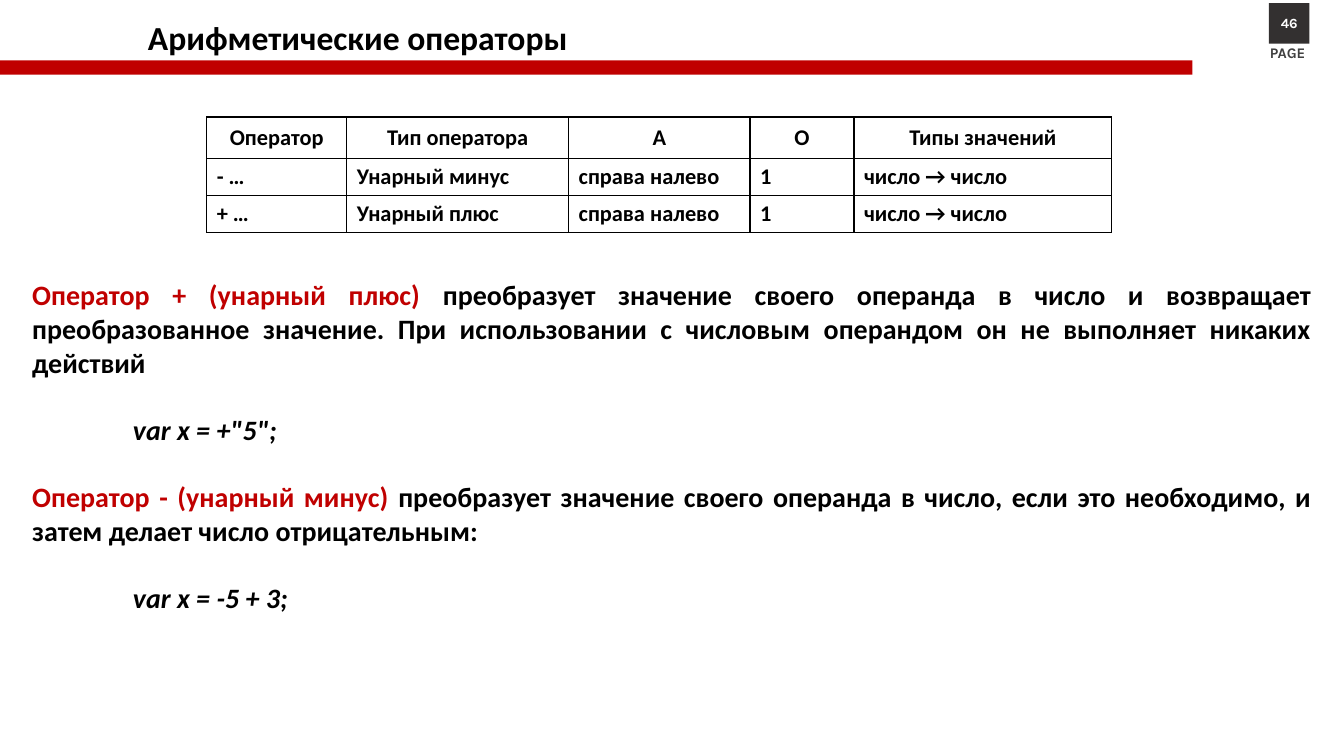
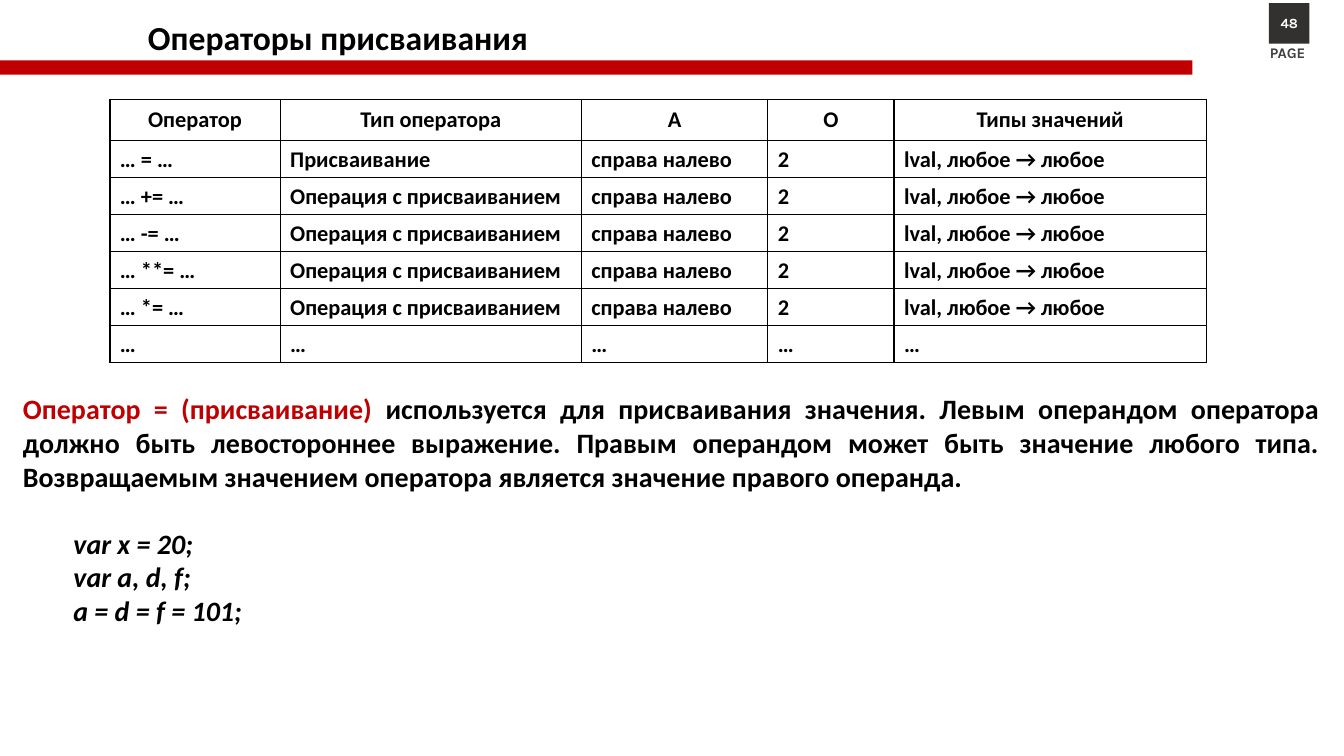
from dataclasses import dataclass

from lxml import etree
from pptx import Presentation
from pptx import util as u
from pptx.dml.color import RGBColor
from pptx.enum import shapes, text
from pptx.oxml import ns


@dataclass(frozen=True)
class Theme:
    black: str = "000000"
    white: str = "FFFFFF"
    red: str = "C00000"
    badge: str = "333030"
    gray: str = "404040"
    font: str = "Calibri"
    page_font: str = "Karla"
    title_size: float = 24
    body_size: float = 20
    table_size: float = 16
    label_size: float = 10.5
    number_size: float = 10
    paragraph_gap: float = 24
    border: float = 1
    header_height: float = 1.04
    row_height: float = 0.93


def assign(target, values):
    for name, value in values.items():
        setattr(target, name, value)


def box(*lengths):
    return [u.Cm(length) for length in lengths]


class Deck:
    def __init__(self, theme):
        self.theme = theme
        self.presentation = Presentation()
        assign(self.presentation, {"slide_width": u.Cm(33.87), "slide_height": u.Cm(19.05)})
        self.slide = None

    def add_text(self, paragraph, content, size, color=None, name=None, italic=False):
        run = paragraph.add_run()
        run.text = content
        assign(run.font, {"size": u.Pt(size), "name": name or self.theme.font,
                          "bold": True, "italic": italic})
        run.font.color.rgb = RGBColor.from_string(color or self.theme.black)

    def text_frame(self, place, **values):
        frame = self.slide.shapes.add_textbox(*box(*place)).text_frame
        assign(frame, {"word_wrap": True, **values})
        return frame

    def rectangle(self, place, color):
        shape = self.slide.shapes.add_shape(shapes.MSO_SHAPE.RECTANGLE, *box(*place))
        shape.shadow.inherit = False
        shape.fill.solid()
        shape.fill.fore_color.rgb = RGBColor.from_string(color)
        shape.line.fill.background()
        return shape

    def start_slide(self, title, number):
        theme = self.theme
        self.slide = self.presentation.slides.add_slide(self.presentation.slide_layouts[6])
        frame = self.text_frame((3.48, 0.08, 30.38, 1.83),
                                vertical_anchor=text.MSO_ANCHOR.MIDDLE)
        frame.paragraphs[0].line_spacing = 0.9
        self.add_text(frame.paragraphs[0], title, theme.title_size)

        label = self.text_frame((31.75, 0.99, 1.5, 0.71), word_wrap=False)
        self.add_text(label.paragraphs[0], "PAGE", theme.label_size, theme.gray,
                      theme.page_font)

        badge = self.rectangle((31.98, 0.08, 1.02, 1.02), theme.badge).text_frame
        assign(badge, {"margin_left": 0, "margin_right": 0,
                       "vertical_anchor": text.MSO_ANCHOR.MIDDLE})
        badge.paragraphs[0].alignment = text.PP_ALIGN.CENTER
        self.add_text(badge.paragraphs[0], str(number), theme.number_size, theme.white,
                      theme.page_font)
        self.rectangle((0, 1.52, 30.05, 0.36), theme.red)

    def explanation(self, place, code_indent, sections):
        theme = self.theme
        frame = self.text_frame(place)
        paragraph = frame.paragraphs[0]
        for index, (term, description, code) in enumerate(sections):
            if index:
                paragraph = frame.add_paragraph()
                paragraph.space_before = u.Pt(theme.paragraph_gap)
            paragraph.alignment = text.PP_ALIGN.JUSTIFY
            self.add_text(paragraph, term + " ", theme.body_size, theme.red)
            self.add_text(paragraph, description, theme.body_size)
            for line_index, line in enumerate(code):
                paragraph = frame.add_paragraph()
                assign(paragraph, {"alignment": text.PP_ALIGN.JUSTIFY,
                                   "space_before": u.Pt(0 if line_index else theme.paragraph_gap)})
                paragraph._p.get_or_add_pPr().set("marL", str(u.Cm(code_indent)))
                self.add_text(paragraph, line, theme.body_size, italic=True)

    def outline(self, cell):
        properties = cell._tc.get_or_add_tcPr()
        for side in ("a:lnL", "a:lnR", "a:lnT", "a:lnB"):
            line = etree.SubElement(properties, ns.qn(side), w=str(u.Pt(self.theme.border)))
            fill = etree.SubElement(line, ns.qn("a:solidFill"))
            etree.SubElement(fill, ns.qn("a:srgbClr"), val=self.theme.black)

    def operator_table(self, left, top, widths, rows):
        theme = self.theme
        rows = [("Оператор", "Тип оператора", "А", "О", "Типы значений"), *rows]
        heights = [theme.header_height] + [theme.row_height] * (len(rows) - 1)
        table = self.slide.shapes.add_table(
            len(rows), len(widths), *box(left, top, sum(widths), sum(heights))).table
        assign(table, {"first_row": False, "horz_banding": False})
        for column, width in zip(table.columns, widths):
            column.width = u.Cm(width)
        for row_index, (row, height) in enumerate(zip(rows, heights)):
            table.rows[row_index].height = u.Cm(height)
            for column_index, content in enumerate(row):
                cell = table.cell(row_index, column_index)
                self.outline(cell)
                cell.fill.background()
                cell.vertical_anchor = text.MSO_ANCHOR.MIDDLE
                paragraph = cell.text_frame.paragraphs[0]
                paragraph.alignment = text.PP_ALIGN.LEFT if row_index else text.PP_ALIGN.CENTER
                self.add_text(paragraph, content, theme.table_size)


def main():
    deck = Deck(Theme())

    deck.start_slide("Арифметические операторы", 46)
    deck.explanation((0.56, 6.88, 32.74, 8.81), 2.54, [
        ("Оператор + (унарный плюс)",
         "преобразует значение своего операнда в число и возвращает преобразованное "
         "значение. При использовании с числовым операндом он не выполняет никаких действий",
         ['var x = +"5";']),
        ("Оператор - (унарный минус)",
         "преобразует значение своего операнда в число, если это необходимо, "
         "и затем делает число отрицательным:",
         ["var x = -5 + 3;"]),
    ])
    deck.operator_table(5.21, 2.95, (3.53, 5.59, 4.57, 2.62, 6.5), [
        (sign + " …", kind, "справа налево", "1", "число → число")
        for sign, kind in (("-", "Унарный минус"), ("+", "Унарный плюс"))
    ])

    deck.start_slide("Операторы присваивания", 48)
    deck.explanation((0.33, 9.75, 33.17, 6.25), 1.27, [
        ("Оператор = (присваивание)",
         "используется для присваивания значения. Левым операндом оператора должно быть "
         "левостороннее выражение. Правым операндом может быть значение любого типа. "
         "Возвращаемым значением оператора является значение правого операнда.",
         ["var x = 20;", "var a, d, f;", "a = d = f = 101;"]),
    ])
    assignments = [("=", "Присваивание")]
    assignments += [(sign, "Операция с присваиванием") for sign in ("+=", "-=", "**=", "*=")]
    deck.operator_table(2.77, 2.51, (4.29, 7.59, 4.7, 3.18, 7.87), [
        *((f"… {sign} …", kind, "справа налево", "2", "lval, любое → любое")
          for sign, kind in assignments),
        ("…",) * 5,
    ])

    deck.presentation.save("out.pptx")


if __name__ == "__main__":
    main()
